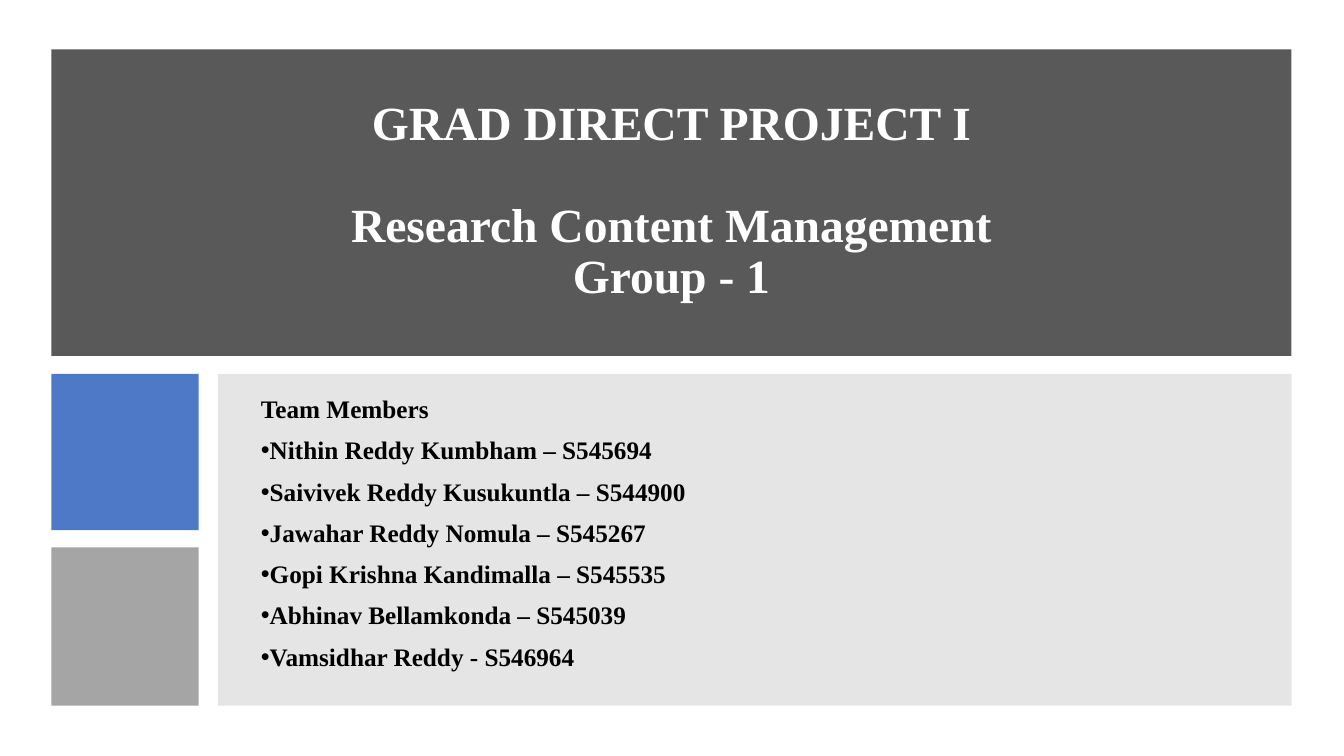
from dataclasses import dataclass

from lxml import etree
from pptx import Presentation
from pptx.dml.color import RGBColor
from pptx.enum.shapes import MSO_SHAPE
from pptx.enum.text import MSO_ANCHOR, PP_ALIGN
from pptx.oxml.ns import qn
from pptx.util import Inches, Pt

RECTANGLE = MSO_SHAPE.RECTANGLE
MIDDLE = MSO_ANCHOR.MIDDLE
CENTER, LEFT = PP_ALIGN.CENTER, PP_ALIGN.LEFT


@dataclass(frozen=True)
class Theme:
    font: str = "Times New Roman"
    banner: str = "595959"
    blue: str = "4472C4"
    gray: str = "A5A5A5"
    panel: str = "808080"
    title_text: str = "FFFFFF"
    body_text: str = "000000"
    title_size: int = 34
    body_size: int = 18
    line_spacing: float = 0.9


theme = Theme()

prs = Presentation()
prs.slide_width = Inches(13.33)
prs.slide_height = Inches(7.5)
slide = prs.slides.add_slide(prs.slide_layouts[6])

# Colour blocks: left, top, width, height, colour, opacity in percent
blocks = [
    (0.51, 0.49, 12.3, 3.04, theme.banner, 100),
    (0.51, 3.71, 1.46, 1.55, theme.blue, 95),
    (0.51, 5.43, 1.46, 1.57, theme.gray, 100),
    (2.16, 3.71, 10.65, 3.29, theme.panel, 20),
]
for left, top, width, height, color, opacity in blocks:
    block = slide.shapes.add_shape(
        RECTANGLE, Inches(left), Inches(top), Inches(width), Inches(height))
    block.shadow.inherit = False
    block.line.fill.background()
    block.fill.solid()
    block.fill.fore_color.rgb = RGBColor.from_string(color)
    if opacity < 100:
        fill_color = block.fill._xPr.find(qn("a:solidFill"))[0]
        etree.SubElement(fill_color, qn("a:alpha"), val=str(opacity * 1000))


def add_bold_text(left, top, width, height, lines, size, color, align, gap):
    """Add a middle-anchored text box with gap points above each paragraph."""
    box = slide.shapes.add_textbox(
        Inches(left), Inches(top), Inches(width), Inches(height))
    frame = box.text_frame
    frame.word_wrap = True
    frame.vertical_anchor = MIDDLE
    frame.text = "\n".join(lines)
    for paragraph in frame.paragraphs:
        paragraph.alignment = align
        paragraph.line_spacing = theme.line_spacing
        paragraph.space_before = Pt(gap)
        for run in paragraph.runs:
            run.font.name = theme.font
            run.font.size = Pt(size)
            run.font.bold = True
            run.font.color.rgb = RGBColor.from_string(color)
    return frame.paragraphs


# The vertical tab is a line break inside the second paragraph
title_lines = ["GRAD DIRECT PROJECT I", "Research Content Management\vGroup - 1"]
add_bold_text(0.85, 0.83, 11.62, 2.34, title_lines,
              theme.title_size, theme.title_text, CENTER, 36)

members = [
    "Nithin Reddy Kumbham – S545694",
    "Saivivek Reddy Kusukuntla – S544900",
    "Jawahar Reddy Nomula – S545267",
    "Gopi Krishna Kandimalla – S545535",
    "Abhinav Bellamkonda – S545039",
    "Vamsidhar Reddy - S546964",
]
team_heading, *member_lines = add_bold_text(
    2.49, 3.88, 9.97, 2.84, ["Team Members", *members],
    theme.body_size, theme.body_text, LEFT, 10)
for member_line in member_lines:
    properties = member_line._p.get_or_add_pPr()
    properties.set("marL", "0")
    properties.set("indent", str(-Inches(0.25)))
    etree.SubElement(properties, qn("a:buFont"), typeface="Arial")
    etree.SubElement(properties, qn("a:buChar"), char="•")

prs.save("out.pptx")
